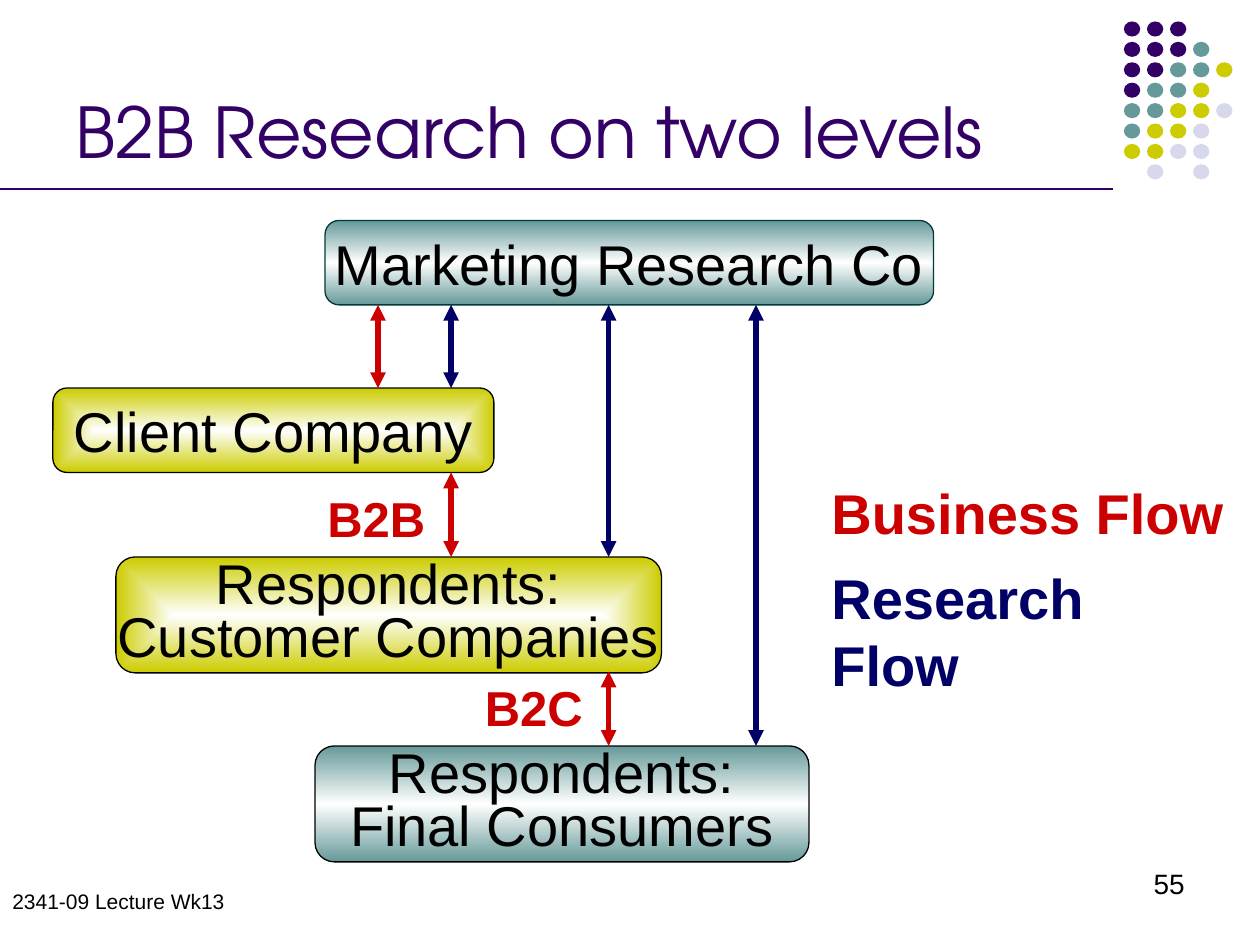
import dataclasses

import lxml.etree
import pptx
import pptx.dml.color
import pptx.enum.shapes
import pptx.enum.text
import pptx.oxml
import pptx.oxml.ns
import pptx.util

Inches = pptx.util.Inches
Pt = pptx.util.Pt
RGB = pptx.dml.color.RGBColor.from_string
SHAPE = pptx.enum.shapes.MSO_SHAPE
ANCHOR = pptx.enum.text.MSO_ANCHOR
ALIGN = pptx.enum.text.PP_ALIGN
qn = pptx.oxml.ns.qn


@dataclasses.dataclass(frozen=True)
class Theme:
    purple: str = "330066"
    teal: str = "669999"
    dark_teal: str = "003B3A"
    olive: str = "CCCC00"
    lavender: str = "D8D8EC"
    business: str = "CC0000"
    research: str = "000066"
    black: str = "000000"
    white: str = "FFFFFF"
    title_font: str = "TeX Gyre Adventor"
    body_font: str = "Arial"
    title_size: int = 40
    box_size: int = 32
    tag_size: int = 28
    number_size: int = 16
    footer_size: int = 12


THEME = Theme()
DOT_ROWS = ["PPP", "PPPT", "PPTTO", "PTTO", "TTOOL", "TOOL", "OOLL", " L L"]
DOT_COLORS = {"P": THEME.purple, "T": THEME.teal, "O": THEME.olive, "L": THEME.lavender}


def format_text(tf, size, color, bold=False, align=None, spacing=None, font=THEME.body_font):
    for p in tf.paragraphs:
        p.alignment = align
        p.line_spacing = spacing
        for r in p.runs:
            r.font.name = font
            r.font.size = Pt(size)
            r.font.bold = bold
            r.font.color.rgb = RGB(color)


def add_title(s, text):
    sp = s.shapes.title
    sp.left, sp.top, sp.width, sp.height = Inches(0.5), Inches(0), Inches(8.25), Inches(1.42)
    tf = sp.text_frame
    tf.text = text
    tf.auto_size = pptx.enum.text.MSO_AUTO_SIZE.NONE
    tf.vertical_anchor = ANCHOR.BOTTOM
    format_text(tf, THEME.title_size, THEME.purple, align=ALIGN.LEFT, font=THEME.title_font)


def add_label(s, text, x, y, w, h, size, color, bold=False, align=ALIGN.LEFT):
    tf = s.shapes.add_textbox(Inches(x), Inches(y), Inches(w), Inches(h)).text_frame
    tf.word_wrap = True
    tf.text = text
    format_text(tf, size, color, bold, align)


def add_line(s, x1, y1, x2, y2, color, width, arrows=False):
    cxn = s.shapes.add_connector(pptx.enum.shapes.MSO_CONNECTOR.STRAIGHT,
                                 Inches(x1), Inches(y1), Inches(x2), Inches(y2))
    cxn.line.color.rgb = RGB(color)
    cxn.line.width = Pt(width)
    if arrows:
        ln = cxn.line._get_or_add_ln()
        for end in ("a:headEnd", "a:tailEnd"):
            lxml.etree.SubElement(ln, qn(end), type="triangle")
    lxml.etree.SubElement(cxn._element.spPr, qn("a:effectLst"))


def add_arrow(s, x, top, bottom, color):
    add_line(s, x, top, x, bottom, color, 3, arrows=True)


def set_gradient(sp, stops, direction):
    stop_xml = "".join(f'<a:gs pos="{pos * 1000}"><a:srgbClr val="{color}"/></a:gs>'
                       for pos, color in stops)
    grad = pptx.oxml.parse_xml(f'<a:gradFill {pptx.oxml.ns.nsdecls("a")} rotWithShape="1">'
                               f'<a:gsLst>{stop_xml}</a:gsLst>{direction}</a:gradFill>')
    sp.fill.background()
    spPr = sp._element.spPr
    spPr.replace(spPr.find(qn("a:noFill")), grad)


def fill_band(sp):
    set_gradient(sp, [(0, THEME.teal), (50, THEME.white), (100, THEME.teal)],
                 '<a:lin ang="16200000" scaled="1"/>')


def fill_glow(sp):
    set_gradient(sp, [(0, THEME.white), (100, THEME.olive)],
                 '<a:path path="shape"><a:fillToRect l="50000" t="50000" r="50000" b="50000"/></a:path>')


def add_box(s, text, x, y, w, h, fill, border=THEME.black):
    sp = s.shapes.add_shape(SHAPE.FLOWCHART_ALTERNATE_PROCESS,
                            Inches(x), Inches(y), Inches(w), Inches(h))
    sp.shadow.inherit = False
    fill(sp)
    sp.line.color.rgb = RGB(border)
    sp.line.width = Pt(0.75)
    tf = sp.text_frame
    tf.word_wrap = False
    tf.vertical_anchor = ANCHOR.MIDDLE
    tf.text = text
    spacing = 0.8 if "\n" in text else None
    format_text(tf, THEME.box_size, THEME.black, align=ALIGN.CENTER, spacing=spacing)


def add_dots(s):
    for row, codes in enumerate(DOT_ROWS):
        for col, code in enumerate(codes):
            if code == " ":
                continue
            sp = s.shapes.add_shape(SHAPE.OVAL, Inches(8.92 + col * 0.183),
                                    Inches(0.17 + row * 0.162), Inches(0.13), Inches(0.12))
            sp.shadow.inherit = False
            sp.fill.solid()
            sp.fill.fore_color.rgb = RGB(DOT_COLORS[code])
            sp.line.fill.background()


def main():
    prs = pptx.Presentation()
    prs.slide_width, prs.slide_height = Inches(10), Inches(7.5)
    s = prs.slides.add_slide(prs.slide_layouts[5])

    add_dots(s)
    add_line(s, 0, 1.5, 8.83, 1.5, THEME.purple, 1.5)
    add_title(s, "B2B Research on two levels")
    add_label(s, "2341-09 Lecture Wk13", 0, 7, 2.33, 0.5, THEME.footer_size, THEME.black)
    add_label(s, "55", 7.17, 6.83, 2.33, 0.5, THEME.number_size, THEME.black, align=ALIGN.RIGHT)

    add_box(s, "Marketing Research Co", 2.58, 1.75, 4.83, 0.67, fill_band, THEME.dark_teal)
    add_box(s, "Client Company", 0.42, 3.08, 3.5, 0.67, fill_glow)
    add_box(s, "Respondents:\nCustomer Companies", 0.92, 4.42, 4.33, 0.92, fill_glow)
    add_box(s, "Respondents:\nFinal Consumers", 2.5, 5.92, 3.92, 0.92, fill_band)

    for x, top, bottom in [(3, 2.42, 3.08), (3.58, 3.75, 4.42), (4.83, 5.33, 5.92)]:
        add_arrow(s, x, top, bottom, THEME.business)
    for x, bottom in [(3.58, 3.08), (4.83, 4.42), (6, 5.92)]:
        add_arrow(s, x, 2.42, bottom, THEME.research)

    for text, x, y in [("B2B", 2.5, 3.83), ("B2C", 3.75, 5.33)]:
        add_label(s, text, x, y, 1, 0.57, THEME.tag_size, THEME.business, bold=True)
    for text, y, color in [("Business Flow", 3.75, THEME.business),
                           ("Research Flow", 4.42, THEME.research)]:
        add_label(s, text, 6.5, y, 3.33, 0.64, THEME.box_size, color, bold=True)

    prs.save("out.pptx")


if __name__ == "__main__":
    main()
